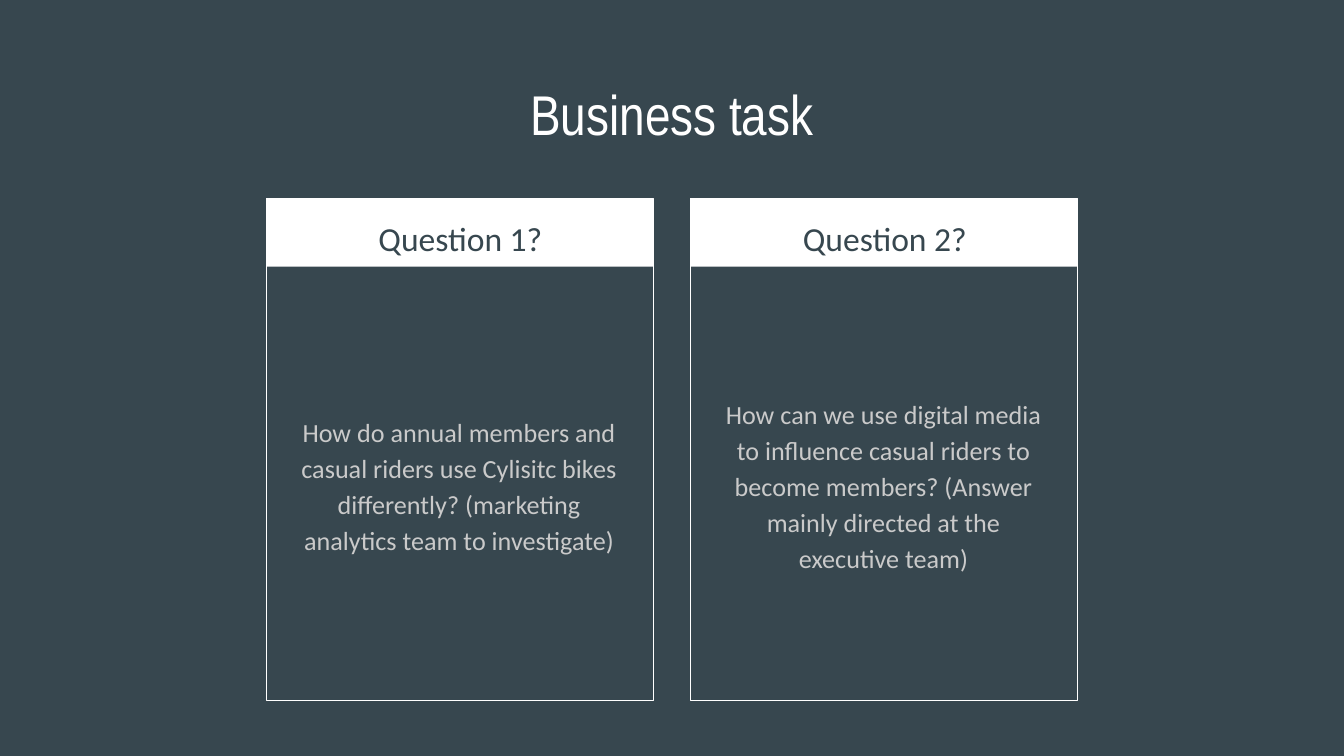
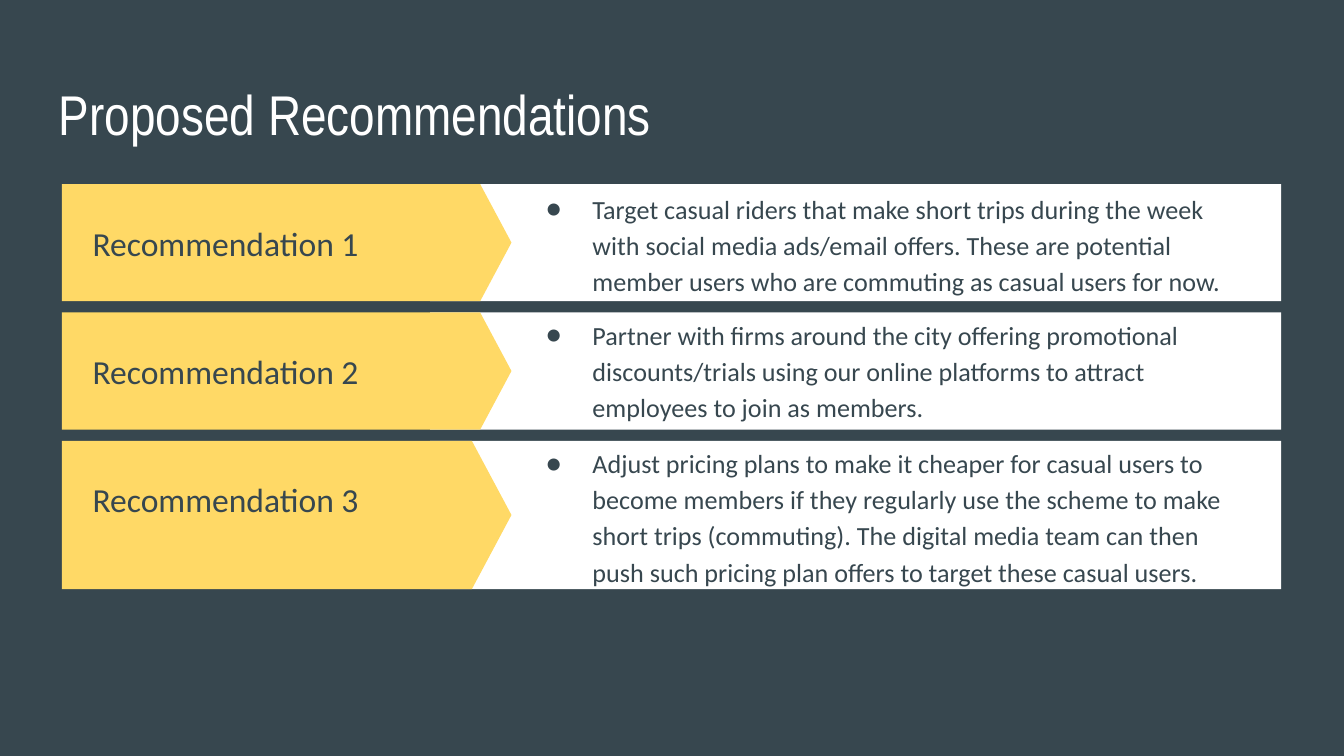
from lxml import etree
from pptx import Presentation
from pptx.dml.color import RGBColor
from pptx.enum.shapes import MSO_SHAPE
from pptx.enum.text import MSO_ANCHOR, PP_ALIGN
from pptx.oxml.ns import qn
from pptx.util import Pt

RECTANGLE = MSO_SHAPE.RECTANGLE
PENTAGON = MSO_SHAPE.PENTAGON
TOP = MSO_ANCHOR.TOP
MIDDLE = MSO_ANCHOR.MIDDLE
LEFT = PP_ALIGN.LEFT
CENTER = PP_ALIGN.CENTER

COLORS = {
    "slate": "37474F",
    "white": "FFFFFF",
    "grey": "CACACA",
    "yellow": "FFD966",
}
TITLE_FONT = "Arial Narrow"
BODY_FONT = "Calibri"

QUESTIONS = [
    ("Question 1?", "How do annual members and casual riders use Cylisitc bikes "
     "differently? (marketing analytics team to investigate)"),
    ("Question 2?", "How can we use digital media to influence casual riders to "
     "become members? (Answer mainly directed at the executive team)"),
]

RECOMMENDATIONS = [
    ("Recommendation 1", "Target casual riders that make short trips during the week "
     "with social media ads/email offers. These are potential member users who are "
     "commuting as casual users for now.", 62.8, 0, MIDDLE),
    ("Recommendation 2", "Partner with firms around the city offering promotional "
     "discounts/trials using our online platforms to attract employees to join as "
     "members.", 62.8, 6, TOP),
    ("Recommendation 3", "Adjust pricing plans to make it cheaper for casual users to "
     "become members if they regularly use the scheme to make short trips (commuting). "
     "The digital media team can then push such pricing plan offers to target these "
     "casual users.", 79.4, 6, TOP),
]


def rgb(name):
    return RGBColor.from_string(COLORS[name])


class Deck:
    def __init__(self):
        self.presentation = Presentation()
        self.presentation.slide_width = Pt(720)
        self.presentation.slide_height = Pt(405)
        self.slide = None

    def add_slide(self, title, align):
        self.slide = self.presentation.slides.add_slide(
            self.presentation.slide_layouts[6])
        background = self.slide.background.fill
        background.solid()
        background.fore_color.rgb = rgb("slate")
        self.text(title, 24.5, 35.2, 671, 45.4, 30, "white", align, font=TITLE_FONT)

    def shape(self, kind, left, top, width, height, fill=None, line=None):
        shape = self.slide.shapes.add_shape(
            kind, Pt(left), Pt(top), Pt(width), Pt(height))
        shape.shadow.inherit = False
        if fill:
            shape.fill.solid()
            shape.fill.fore_color.rgb = rgb(fill)
        else:
            shape.fill.background()
        if line:
            shape.line.color.rgb = rgb(line)
            shape.line.width = Pt(0.75)
        else:
            shape.line.fill.background()
        return shape

    def text(self, text, left, top, width, height, size, color, align=LEFT,
             anchor=TOP, spacing=None, font=BODY_FONT):
        box = self.slide.shapes.add_textbox(Pt(left), Pt(top), Pt(width), Pt(height))
        frame = box.text_frame
        frame.word_wrap = True
        frame.vertical_anchor = anchor
        frame.margin_left = frame.margin_right = Pt(7.2)
        frame.margin_top = frame.margin_bottom = Pt(7.2)
        frame.text = text
        paragraph = frame.paragraphs[0]
        paragraph.alignment = align
        if spacing:
            paragraph.line_spacing = spacing
        run_font = paragraph.runs[0].font
        run_font.name = font
        run_font.size = Pt(size)
        run_font.color.rgb = rgb(color)
        return paragraph

    def bullet(self, paragraph, color):
        properties = paragraph._p.get_or_add_pPr()
        properties.set("marL", str(Pt(36)))
        properties.set("indent", str(-Pt(25)))
        bullet_color = etree.SubElement(properties, qn("a:buClr"))
        etree.SubElement(bullet_color, qn("a:srgbClr"), val=COLORS[color])
        etree.SubElement(properties, qn("a:buFont"), typeface=BODY_FONT)
        etree.SubElement(properties, qn("a:buChar"), char="●")

    def question_card(self, left, heading, question):
        top, width = 106.4, 207.4
        self.shape(RECTANGLE, left, top, width, 36.5, fill="white")
        self.shape(RECTANGLE, left, top, width, 269, line="white")
        self.text(heading, left + 5.8, top, 196.6, 36, 18, "slate", CENTER,
                  spacing=1.15)
        paragraph = self.text(question, left + 5.8, top + 42.6, 195.1, 220.3, 14,
                              "grey", CENTER, MIDDLE, 1.15)
        paragraph.space_after = Pt(16)

    def recommendation_row(self, top, label, advice, height, lift, anchor):
        self.shape(RECTANGLE, 230.4, top, 456, height, fill="white")
        arrow = self.shape(PENTAGON, 33.2, top, 240.8, height, fill="yellow")
        arrow.adjustments[0] = 0.267
        self.text(label, 42.5, top, 190.8, 62.8, 18, "slate", anchor=MIDDLE)
        paragraph = self.text(advice, 274.3, top - lift, 402.5, height, 14, "slate",
                              anchor=anchor, spacing=1.15)
        self.bullet(paragraph, "slate")


def main():
    deck = Deck()

    deck.add_slide("Business task", CENTER)
    for index, (heading, question) in enumerate(QUESTIONS):
        deck.question_card(142.6 + index * 227.4, heading, question)

    deck.add_slide("Proposed Recommendations", LEFT)
    row_top, row_gap = 98.6, 6
    for label, advice, height, lift, anchor in RECOMMENDATIONS:
        deck.recommendation_row(row_top, label, advice, height, lift, anchor)
        row_top += height + row_gap

    deck.presentation.save("out.pptx")


if __name__ == "__main__":
    main()
